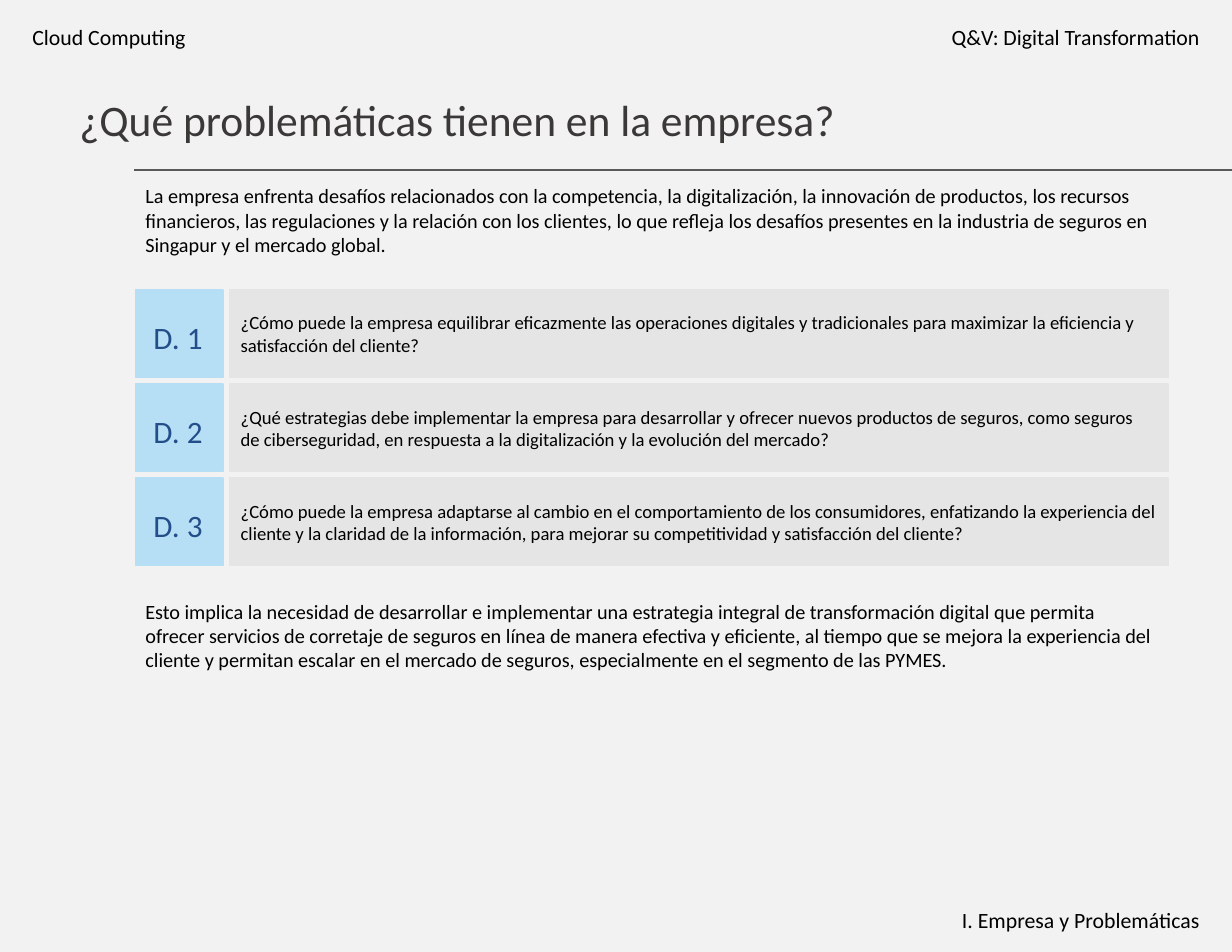
"""Build the slide on the company's challenges, with three numbered questions."""
from lxml.etree import SubElement
from pptx import Presentation
from pptx.dml.color import RGBColor
from pptx.enum.shapes import MSO_CONNECTOR, MSO_SHAPE
from pptx.enum.text import MSO_ANCHOR, MSO_AUTO_SIZE, PP_ALIGN
from pptx.oxml.ns import qn
from pptx.util import Inches, Pt

COLORS = {
    "background": "F2F2F2",
    "title": "3B3838",
    "text": "000000",
    "number": "234E8A",
    "number_box": "B6DFF6",
    "question_box": "E5E5E5",
    "rule": "595959",
}
FRAME_FORMAT = {"word_wrap": True, "auto_size": MSO_AUTO_SIZE.SHAPE_TO_FIT_TEXT}


def add_text(box, text, size, color="text", align=PP_ALIGN.LEFT, anchor=MSO_ANCHOR.TOP):
    frame = slide.shapes.add_textbox(*map(Inches, box)).text_frame
    for name, value in {**FRAME_FORMAT, "vertical_anchor": anchor}.items():
        setattr(frame, name, value)
    paragraph = frame.paragraphs[0]
    paragraph.alignment = align
    run = paragraph.add_run()
    run.text = text
    for name, value in {"name": "Calibri", "size": Pt(size)}.items():
        setattr(run.font, name, value)
    run.font.color.rgb = RGBColor.from_string(COLORS[color])


def add_box(box, color):
    rectangle = slide.shapes.add_shape(MSO_SHAPE.RECTANGLE, *map(Inches, box))
    rectangle.shadow.inherit = False
    rectangle.fill.solid()
    for part in (rectangle.fill.fore_color, rectangle.line.color):
        part.rgb = RGBColor.from_string(COLORS[color])
    rectangle.line.width = Pt(1)


presentation = Presentation()
presentation.slide_width = Inches(11)
presentation.slide_height = Inches(8.5)
slide = presentation.slides.add_slide(presentation.slide_layouts[6])
slide.background.fill.solid()
slide.background.fill.fore_color.rgb = RGBColor.from_string(COLORS["background"])

add_text((0.61, 0.78, 7.02, 0.57), "¿Qué problemáticas tienen en la empresa?", 28, "title",
         anchor=MSO_ANCHOR.MIDDLE)

margin_notes = [
    (0.19, 0.16, "Cloud Computing", PP_ALIGN.LEFT),
    (7.84, 0.16, "Q&V: Digital Transformation", PP_ALIGN.RIGHT),
    (7.84, 8.05, "I. Empresa y Problemáticas", PP_ALIGN.RIGHT),
]
for left, top, note, align in margin_notes:
    add_text((left, top, 2.97, 0.34), note, 14, align=align)

statements = {
    1.59: "La empresa enfrenta desafíos relacionados con la competencia, la digitalización, "
          "la innovación de productos, los recursos financieros, las regulaciones y la relación "
          "con los clientes, lo que refleja los desafíos presentes en la industria de seguros "
          "en Singapur y el mercado global.",
    5.3: "Esto implica la necesidad de desarrollar e implementar una estrategia integral de "
         "transformación digital que permita ofrecer servicios de corretaje de seguros en línea "
         "de manera efectiva y eficiente, al tiempo que se mejora la experiencia del cliente y "
         "permitan escalar en el mercado de seguros, especialmente en el segmento de las PYMES.",
}
for top, statement in statements.items():
    add_text((1.2, top, 9.23, 0.76), statement, 13)

questions = [
    "¿Cómo puede la empresa equilibrar eficazmente las operaciones digitales y tradicionales "
    "para maximizar la eficiencia y satisfacción del cliente?",
    "¿Qué estrategias debe implementar la empresa para desarrollar y ofrecer nuevos productos "
    "de seguros, como seguros de ciberseguridad, en respuesta a la digitalización y la "
    "evolución del mercado?",
    "¿Cómo puede la empresa adaptarse al cambio en el comportamiento de los consumidores, "
    "enfatizando la experiencia del cliente y la claridad de la información, para mejorar su "
    "competitividad y satisfacción del cliente?",
]
for index, question in enumerate(questions):
    top = 2.59 + 0.84 * index
    add_box((1.21, top, 0.78, 0.78), "number_box")
    add_box((2.05, top, 8.38, 0.78), "question_box")
    add_text((1.2, top + 0.2, 0.78, 0.44), f"D. {index + 1}", 20, "number",
             PP_ALIGN.CENTER, MSO_ANCHOR.MIDDLE)
    add_text((2.05, top + 0.14, 8.38, 0.5), question, 12, anchor=MSO_ANCHOR.MIDDLE)

title_rule = slide.shapes.add_connector(
    MSO_CONNECTOR.STRAIGHT, Inches(1.2), Inches(1.52), Inches(11), Inches(1.52))
title_rule.line.color.rgb = RGBColor.from_string(COLORS["rule"])
title_rule.line.width = Pt(1.5)
SubElement(title_rule._element.spPr, qn("a:effectLst"))

presentation.save("out.pptx")
